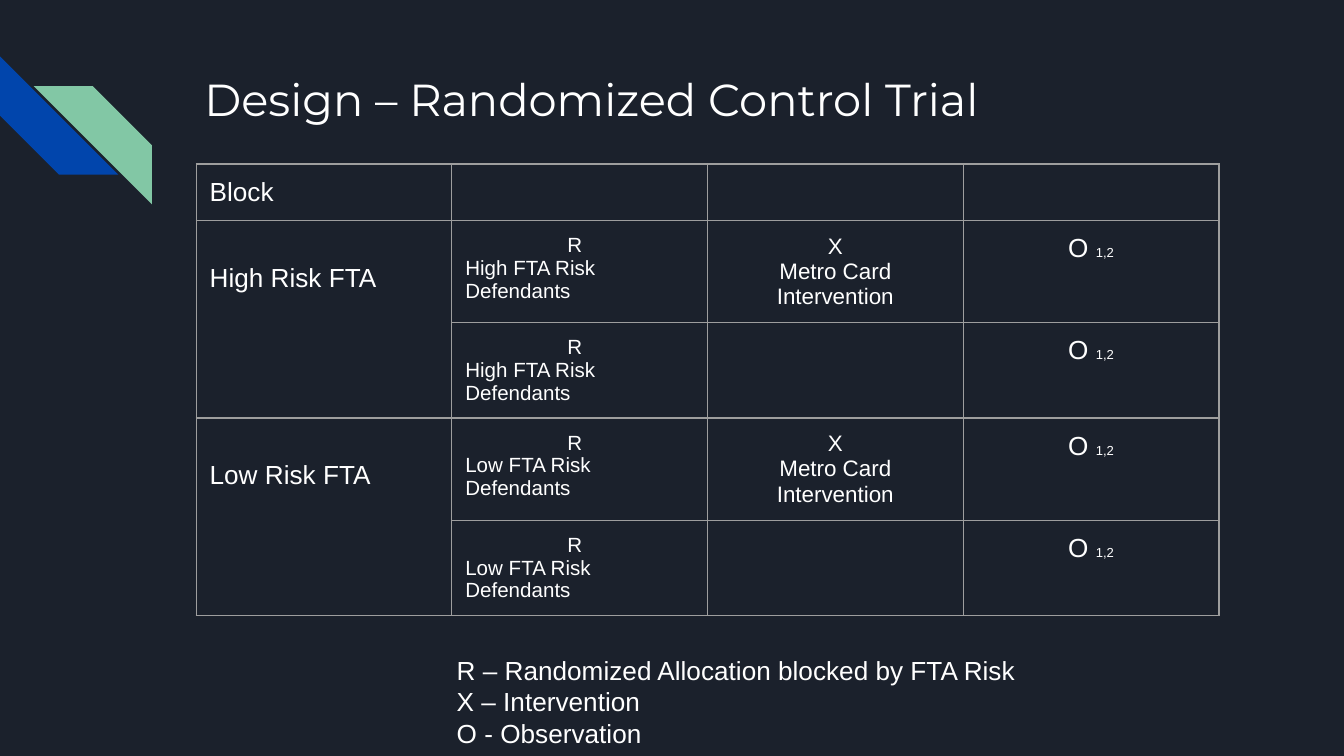
from lxml import etree
from pptx import Presentation
from pptx.dml.color import RGBColor
from pptx.enum.shapes import MSO_SHAPE
from pptx.enum.text import MSO_ANCHOR, MSO_AUTO_SIZE, PP_ALIGN
from pptx.oxml.ns import qn
from pptx.util import Inches, Pt

COLORS = {
    "background": "1B212C",
    "text": "FFFFFF",
    "blue": "0145AC",
    "green": "82C7A5",
    "border": "9E9E9E",
}
INSET = Inches(0.1)


def color(name):
    return RGBColor.from_string(COLORS[name])


def style_font(font, size, name="Arial"):
    font.name = name
    font.size = Pt(size)
    font.color.rgb = color("text")


def add_stripes(slide, left, top):
    """Two interlocking diagonal stripes at the left edge."""
    size = Inches(0.88)
    for x, y, rotation, fill in ((0, 0, 270, "blue"), (0.25, 0.22, 90, "green")):
        stripe = slide.shapes.add_shape(
            MSO_SHAPE.DIAGONAL_STRIPE, left + Inches(x), top + Inches(y), size, size)
        stripe.rotation = rotation
        stripe.shadow.inherit = False
        stripe.fill.solid()
        stripe.fill.fore_color.rgb = color(fill)
        stripe.line.fill.background()


def add_title(slide, left, top, width, height):
    title = slide.shapes.title
    title.left, title.top, title.width, title.height = left, top, width, height
    frame = title.text_frame
    frame.text = "Design – Randomized Control Trial"
    frame.auto_size = MSO_AUTO_SIZE.NONE
    frame.vertical_anchor = MSO_ANCHOR.TOP
    frame.margin_left = frame.margin_right = INSET
    frame.margin_top = frame.margin_bottom = INSET
    paragraph = frame.paragraphs[0]
    paragraph.alignment = PP_ALIGN.LEFT
    style_font(paragraph.font, 24, "Montserrat")


def format_cell(cell):
    """Thin grey borders around an unfilled cell."""
    properties = cell._tc.get_or_add_tcPr()
    for side in ("lnL", "lnR", "lnT", "lnB"):
        line = etree.SubElement(properties, qn(f"a:{side}"), w=str(Pt(0.75)))
        fill = etree.SubElement(line, qn("a:solidFill"))
        etree.SubElement(fill, qn("a:srgbClr"), val=COLORS["border"])
    cell.fill.background()


def write_cell(cell, lines, size, alignment=PP_ALIGN.LEFT):
    cell.margin_left = cell.margin_right = INSET
    cell.margin_top = cell.margin_bottom = INSET
    frame = cell.text_frame
    frame.text = "\n".join(lines)
    for paragraph in frame.paragraphs:
        paragraph.alignment = alignment
        style_font(paragraph.font, size)


def write_allocation(cell, risk):
    write_cell(cell, ("R", f"{risk} FTA Risk Defendants"), 11)
    properties = cell.text_frame.paragraphs[0]._p.get_or_add_pPr()
    properties.set("marL", str(Inches(0.76)))


def write_observation(cell):
    write_cell(cell, ("O ",), 14, PP_ALIGN.CENTER)
    times = cell.text_frame.paragraphs[0].add_run()
    times.text = "1,2"
    times.font.size = Pt(7)


def add_design_table(slide, left, top, width):
    heights = [Inches(height) for height in (0.42, 0.76, 0.71, 0.76, 0.71)]
    table = slide.shapes.add_table(
        len(heights), 4, left, top, width, sum(heights)).table
    table.first_row = table.horz_banding = False
    for row, height in zip(table.rows, heights):
        row.height = height
    for cell in table.iter_cells():
        format_cell(cell)

    write_cell(table.cell(0, 0), ("Block",), 14)

    # Each risk block has a treated row and a control row
    for first, risk in ((1, "High"), (3, "Low")):
        block = table.cell(first, 0)
        block.merge(table.cell(first + 1, 0))
        write_cell(block, (f"{risk} Risk FTA",), 14)
        block.margin_top = Inches(0.32)
        write_cell(table.cell(first, 2), ("X", "Metro Card Intervention"),
                   12, PP_ALIGN.CENTER)
        for row in (first, first + 1):
            write_allocation(table.cell(row, 1), risk)
            write_observation(table.cell(row, 3))


def add_legend(slide, left, top, width, height):
    frame = slide.shapes.add_textbox(left, top, width, height).text_frame
    frame.word_wrap = True
    frame.text = "\n".join((
        "R – Randomized Allocation blocked by FTA Risk",
        "X – Intervention",
        "O - Observation",
    ))
    for paragraph in frame.paragraphs:
        style_font(paragraph.font, 14)


def main():
    presentation = Presentation()
    # Widescreen, 16:9
    presentation.slide_width = Inches(10)
    presentation.slide_height = Inches(10) * 9 // 16
    slide = presentation.slides.add_slide(presentation.slide_layouts[5])
    slide.background.fill.solid()
    slide.background.fill.fore_color.rgb = color("background")

    add_stripes(slide, 0, Inches(0.42))
    add_title(slide, Inches(1.42), Inches(0.43), Inches(7.7), Inches(1))
    add_design_table(slide, Inches(1.46), Inches(1.22), Inches(7.61))
    add_legend(slide, Inches(3.3), Inches(4.82), Inches(6.3), Inches(0.81))
    presentation.save("out.pptx")


if __name__ == "__main__":
    main()
